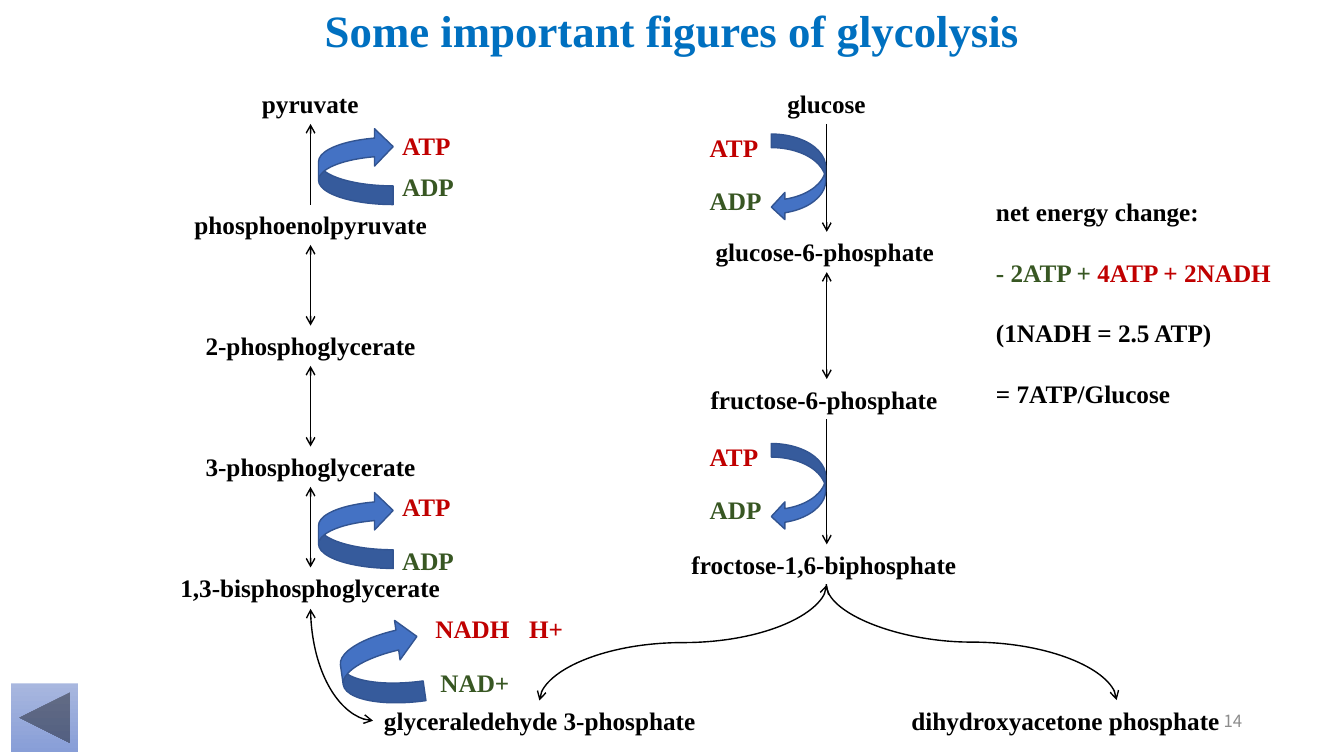
from dataclasses import dataclass
from itertools import pairwise

from lxml.etree import SubElement
from pptx import Presentation
from pptx.dml.color import RGBColor
from pptx.enum.shapes import MSO_CONNECTOR as LINK, MSO_SHAPE as SHAPE
from pptx.enum.text import MSO_ANCHOR as ANCHOR, MSO_AUTO_SIZE as FIT, PP_ALIGN as ALIGN
from pptx.oxml.ns import qn
from pptx.util import Emu, Pt

PX = 9144  # 100 px to the inch
LABEL_HEIGHT = 40


@dataclass(frozen=True)
class Theme:
    font: str = "Times New Roman"
    number_font: str = "Noto Sans CJK SC"
    title_size: int = 32
    body_size: int = 18
    number_size: int = 12
    title: str = "0070C0"
    ink: str = "000000"
    charged: str = "C00000"
    spent: str = "385723"
    number: str = "8C8C8C"
    arrow: str = "4472C4"
    arrow_edge: str = "325491"
    button: tuple = ("A8B7DF", "889ED7")


THEME = Theme()


def px(*lengths):
    return [Emu(length * PX) for length in lengths]


def rgb(code):
    return RGBColor.from_string(code)


def apply(target, formats):
    for name, value in formats.items():
        setattr(target, name, value)


def add_span(para, text, color, size=THEME.body_size, font=THEME.font, bold=True):
    span = para.add_run()
    span.text = text
    apply(span.font, {"name": font, "size": Pt(size), "bold": bold})
    span.font.color.rgb = rgb(color)


def add_box(page, left, top, width, height=LABEL_HEIGHT, wrap=False, **formats):
    """Add an empty text box and return its text frame."""
    frame = page.shapes.add_textbox(*px(left, top, width, height)).text_frame
    apply(frame, {"word_wrap": wrap, "auto_size": FIT.SHAPE_TO_FIT_TEXT, **formats})
    return frame


def add_label(page, text, left, top, width, color=THEME.ink):
    add_span(add_box(page, left, top, width).paragraphs[0], text, color)


def style_line(link, heads):
    link.line.width = Pt(1)
    link.line.color.rgb = rgb(THEME.ink)
    edge = link.line._get_or_add_ln()
    for head in heads:
        SubElement(edge, qn(f"a:{head}End"), type="arrow")
    SubElement(link._element.spPr, qn("a:effectLst"))


def add_arrow(page, start, end, heads):
    link = page.shapes.add_connector(LINK.STRAIGHT, *px(*start, *end))
    style_line(link, heads)


def add_curve(page, start, end, heads):
    """Join two points with an S-curve that leaves and arrives vertically."""
    (x1, y1), (x2, y2) = start, end
    middle_x, middle_y = (x1 + x2) / 2, (y1 + y2) / 2
    run, rise = (y2 - y1) / 2, (x2 - x1) / 2
    corners = (middle_x - run, middle_y + rise, middle_x + run, middle_y - rise)
    link = page.shapes.add_connector(LINK.CURVE, *px(*map(int, corners)))
    link._element.spPr.xfrm.set("rot", "5400000")
    style_line(link, heads)


def add_bend(page, left, top, width, height):
    """Add a quarter curve from the lower right to the upper left."""
    link = page.shapes.add_connector(
        LINK.CURVE, *px(left, top, left + width, top + height))
    link._element.spPr.xfrm.set("rot", "10800000")
    link._element.spPr.find(qn("a:prstGeom")).set("prst", "curvedConnector2")
    style_line(link, ("head", "tail"))


def add_turn(page, kind, left, top, width, height, rotation=0):
    turn = page.shapes.add_shape(kind, *px(left, top, width, height))
    turn.rotation = rotation
    turn.shadow.inherit = False
    turn.fill.solid()
    turn.fill.fore_color.rgb = rgb(THEME.arrow)
    turn.line.color.rgb = rgb(THEME.arrow_edge)
    turn.line.width = Pt(1)
    if kind == SHAPE.CURVED_RIGHT_ARROW:
        turn._element.spPr.xfrm.set("flipV", "1")


def add_chain(page, center, steps, links):
    """Stack (name, top, width) steps and join each with the next one."""
    for name, top, width in steps:
        add_label(page, name, center - width // 2, top, width)
    for (upper, lower), heads in zip(pairwise(steps), links):
        add_arrow(page, (center, upper[1] + LABEL_HEIGHT), (center, lower[1]), heads)


def add_exchange(page, charged_at, spent_at, turn):
    add_turn(page, *turn)
    add_label(page, "ATP", *charged_at, 72, THEME.charged)
    add_label(page, "ADP", *spent_at, 76, THEME.spent)


def add_nadh_exchange(page):
    add_turn(page, SHAPE.CURVED_RIGHT_ARROW, 338, 617, 79, 84, 352)
    para = add_box(page, 422, 604, 160, wrap=True).paragraphs[0]
    stops = SubElement(para._p.get_or_add_pPr(), qn("a:tabLst"))
    SubElement(stops, qn("a:tab"), pos=str(93 * PX), algn="l")
    add_span(para, "NADH\tH+", THEME.charged)
    add_label(page, "NAD+", 427, 657, 96, THEME.spent)


def add_energy_balance(page):
    lines = [
        [("net energy change:", THEME.ink)],
        [("- 2ATP + ", THEME.spent), ("4ATP + 2NADH", THEME.charged)],
        [("(1NADH = 2.5 ATP)", THEME.ink)],
        [("= 7ATP/Glucose", THEME.ink)],
    ]
    frame = add_box(page, 978, 190, 301, 252)
    for index, spans in enumerate(lines):
        para = frame.add_paragraph() if index else frame.paragraphs[0]
        if index:
            para.space_before = Pt(21.6)
        for text, color in spans:
            add_span(para, text, color)


def add_back_button(page):
    button = page.shapes.add_shape(
        SHAPE.ACTION_BUTTON_BACK_OR_PREVIOUS, *px(11, 678, 67, 68))
    button.shadow.inherit = False
    button.line.fill.background()
    button.fill.gradient()
    button.fill.gradient_angle = 270
    for stop, color in zip(button.fill.gradient_stops, THEME.button):
        stop.color.rgb = rgb(color)


def main():
    deck = Presentation()
    deck.slide_width, deck.slide_height = px(1333, 750)
    page = deck.slides.add_slide(deck.slide_layouts[6])

    number = add_box(page, 942, 695, 300, wrap=True, auto_size=FIT.NONE,
                     vertical_anchor=ANCHOR.MIDDLE).paragraphs[0]
    number.alignment = ALIGN.RIGHT
    add_span(number, "14", THEME.number, THEME.number_size, THEME.number_font, False)
    title = add_box(page, 312, -2, 709, 64).paragraphs[0]
    title.alignment = ALIGN.CENTER
    add_span(title, "Some important figures of glycolysis", THEME.title, THEME.title_size)

    both, up, down = ("head", "tail"), ("head",), ("tail",)
    payoff = [("pyruvate", 116), ("phosphoenolpyruvate", 251),
              ("2-phosphoglycerate", 228), ("3-phosphoglycerate", 228),
              ("1,3-bisphosphoglycerate", 278)]
    add_chain(page, 308,
              [(name, 83 + 120 * row, width) for row, (name, width) in enumerate(payoff)],
              [up, both, both, both])
    add_chain(page, 820,
              [("glucose", 83, 99), ("glucose-6-phosphate", 230, 240),
               ("fructose-6-phosphate", 376, 250), ("froctose-1,6-biphosphate", 540, 288)],
              [down, both, down])
    add_label(page, "glyceraledehyde 3-phosphate", 371, 695, 329)
    add_label(page, "dihydroxyacetone phosphate", 894, 695, 327)
    add_curve(page, (820, 580), (1108, 695), down)
    add_curve(page, (820, 580), (535, 695), both)
    add_bend(page, 308, 604, 62, 111)

    for top in (126, 433):
        add_exchange(page, (694, top), (694, top + 53),
                     (SHAPE.CURVED_LEFT_ARROW, 765, top + 7, 54, 86))
    for top, charged_top, spent_top in ((127, 124, 165), (488, 483, 536)):
        add_exchange(page, (389, charged_top), (389, spent_top),
                     (SHAPE.CURVED_RIGHT_ARROW, 316, top, 74, 76))
    add_nadh_exchange(page)
    add_energy_balance(page)
    add_back_button(page)
    deck.save("out.pptx")


if __name__ == "__main__":
    main()
